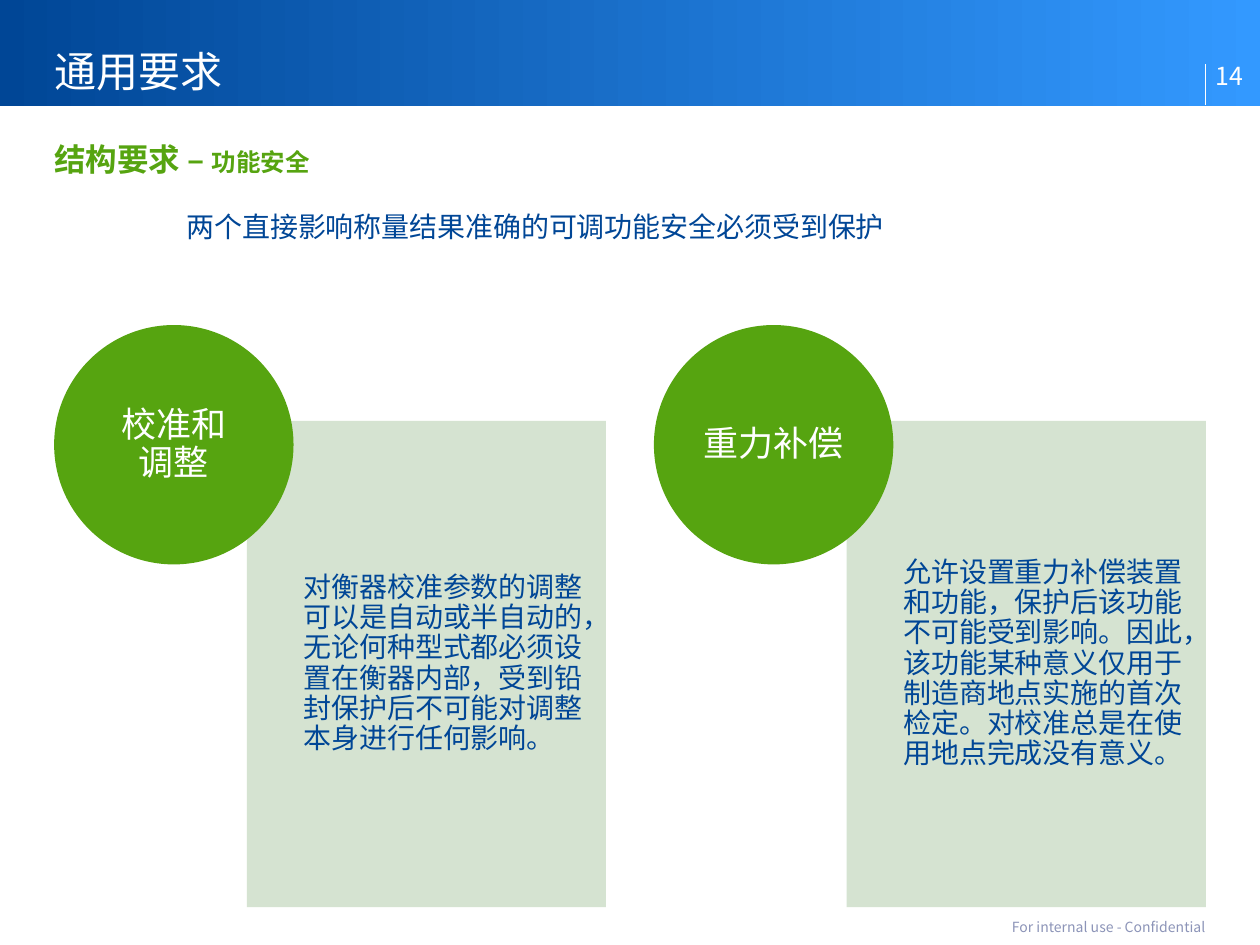
from lxml import etree
from pptx import Presentation
from pptx.dml.color import RGBColor
from pptx.enum.shapes import MSO_CONNECTOR as CONNECTOR, MSO_SHAPE as SHAPE
from pptx.enum.text import MSO_ANCHOR as ANCHOR, MSO_AUTO_SIZE as AUTO_SIZE, PP_ALIGN as ALIGN
from pptx.oxml.ns import qn
from pptx.util import Inches, Pt

FONT = "Noto Sans CJK SC"
NAVY = RGBColor(0x00, 0x46, 0x96)
SKY = RGBColor(0x33, 0x99, 0xFF)
GREEN = RGBColor(0x56, 0xA4, 0x10)
PALE_GREEN = RGBColor(0xD1, 0xE0, 0xCC)
GREY_BLUE = RGBColor(0x8C, 0x94, 0xB8)
WHITE = RGBColor(0xFF, 0xFF, 0xFF)


def place(shape, left, top, width, height, insets=(0, 0, 0, 0), anchor=ANCHOR.TOP):
    """Position a text holder, set its frame and return its first paragraph."""
    shape.left, shape.top = Inches(left), Inches(top)
    shape.width, shape.height = Inches(width), Inches(height)
    frame = shape.text_frame
    frame.word_wrap = True
    frame.auto_size = AUTO_SIZE.NONE
    frame.vertical_anchor = anchor
    (frame.margin_left, frame.margin_top,
     frame.margin_right, frame.margin_bottom) = map(Inches, insets)
    return frame.paragraphs[0]


def write(paragraph, text, size, color, bold=False):
    run = paragraph.add_run()
    run.text = text
    run.font.size = Pt(size)
    run.font.bold = bold
    run.font.color.rgb = color
    run.font.name = FONT
    etree.SubElement(run.font._element, qn("a:ea"), typeface=FONT)


prs = Presentation()
prs.slide_width, prs.slide_height = Inches(10), Inches(7.5)
slide = prs.slides.add_slide(prs.slide_layouts[1])
shapes = slide.shapes

MARGIN = 0.43
CONTENT = 10 - 2 * MARGIN
BAND = 0.84

# Header band, behind the title
band = shapes.add_shape(SHAPE.RECTANGLE, 0, 0, prs.slide_width, Inches(BAND))
band.shadow.inherit = False
band.line.fill.background()
band.fill.gradient()
band.fill.gradient_angle = 0
for stop, color, position in zip(band.fill.gradient_stops, (NAVY, SKY), (0, 1)):
    stop.color.rgb = color
    stop.position = position
shapes.element.insert(2, band.element)

divider = shapes.add_connector(CONNECTOR.STRAIGHT, Inches(10 - MARGIN), Inches(0.83),
                               Inches(10 - MARGIN), Inches(0.51))
divider.line.color.rgb = WHITE
divider.line.width = Pt(0.5)
etree.SubElement(divider.element.spPr, qn("a:effectLst"))

# Title and subtitle
title = place(shapes.title, MARGIN, 0.21, 7.56, 0.63, (0, 0, 0, 0.08), ANCHOR.BOTTOM)
title.alignment = ALIGN.LEFT
title.line_spacing = Pt(26)
write(title, "通用要求", 24, WHITE)

subtitle = place(slide.placeholders[1], MARGIN, 1.11, CONTENT, 0.36, (0, 0, 0, 0.08))
subtitle.space_before = Pt(0)
bullet_props = subtitle._p.get_or_add_pPr()
bullet_props.set("marL", "0")
bullet_props.set("indent", "0")
etree.SubElement(bullet_props, qn("a:buNone"))
write(subtitle, "结构要求 – ", 18, GREEN, bold=True)
write(subtitle, "功能安全", 14, GREEN, bold=True)

# Two topics: a circle overlapping the corner of a panel
TOPICS = [
    (["校准和", "调整"],
     "对衡器校准参数的调整可以是自动或半自动的，无论何种型式都必须设置在衡器内部，"
     "受到铅封保护后不可能对调整本身进行任何影响。"),
    (["重力补偿"],
     "允许设置重力补偿装置和功能，保护后该功能不可能受到影响。因此，该功能某种意义"
     "仅用于制造商地点实施的首次检定。对校准总是在使用地点完成没有意义。"),
]
PITCH = 4.76
CIRCLE, CIRCLE_TOP = 1.9, 2.58
LABEL = 1.35
PANEL_SHIFT, PANEL_TOP, PANEL_WIDTH, PANEL_HEIGHT = 1.53, 3.34, 2.85, 3.86
PANEL_INDENT = 0.45

for column, (label_lines, description) in enumerate(TOPICS):
    left = MARGIN + column * PITCH
    panel_left = left + PANEL_SHIFT

    panel = shapes.add_shape(SHAPE.RECTANGLE, Inches(panel_left), Inches(PANEL_TOP),
                             Inches(PANEL_WIDTH), Inches(PANEL_HEIGHT))
    circle = shapes.add_shape(SHAPE.OVAL, Inches(left), Inches(CIRCLE_TOP),
                              Inches(CIRCLE), Inches(CIRCLE))
    for figure, color in ((panel, PALE_GREEN), (circle, GREEN)):
        figure.shadow.inherit = False
        figure.line.fill.background()
        figure.fill.solid()
        figure.fill.fore_color.rgb = color
    panel_color = panel.element.spPr.find(qn("a:solidFill")).find(qn("a:srgbClr"))
    etree.SubElement(panel_color, qn("a:alpha"), val="90000")

    body = place(shapes.add_textbox(0, 0, 0, 0), panel_left + PANEL_INDENT, PANEL_TOP,
                 PANEL_WIDTH - PANEL_INDENT, PANEL_HEIGHT, (0, 0.12, 0.12, 0.12), ANCHOR.MIDDLE)
    body.line_spacing = 0.9
    write(body, description, 16, NAVY)

    offset = (CIRCLE - LABEL) / 2
    label = place(shapes.add_textbox(0, 0, 0, 0), left + offset, CIRCLE_TOP + offset,
                  LABEL, LABEL, anchor=ANCHOR.MIDDLE)
    label.alignment = ALIGN.CENTER
    label.line_spacing = 0.9
    for number, line in enumerate(label_lines):
        if number:
            label.add_line_break()
        write(label, line, 20, WHITE)

# Page number, footer and lead sentence
page_number = place(shapes.add_textbox(0, 0, 0, 0), 10 - MARGIN, 0.36, MARGIN, 0.47,
                    (0.08, 0, 0, 0.11), ANCHOR.BOTTOM)
write(page_number, "14", 14.2, WHITE)

footer = place(shapes.add_textbox(0, 0, 0, 0), MARGIN, 7.27, CONTENT, 0.17,
               (0, 0.05, 0, 0.05), ANCHOR.MIDDLE)
footer.alignment = ALIGN.RIGHT
write(footer, "For internal use - Confidential", 8, GREY_BLUE)

lead = place(shapes.add_textbox(0, 0, 0, 0), 1.48, 1.66, 5.82, 0.27)
lead.space_before, lead.space_after = Pt(4), Pt(6)
write(lead, "两个直接影响称量结果准确的可调功能安全必须受到保护", 16, NAVY)

prs.save("out.pptx")
